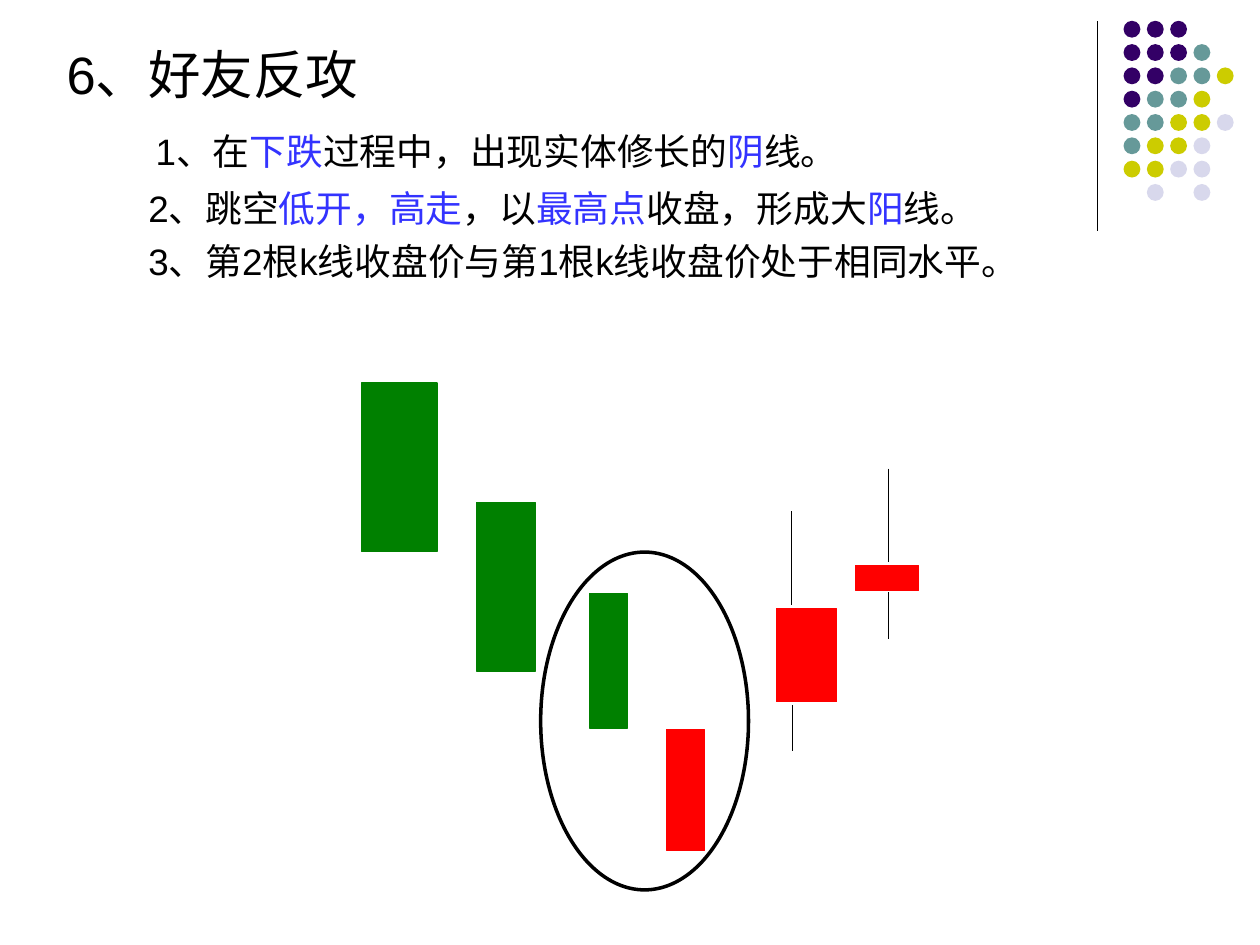
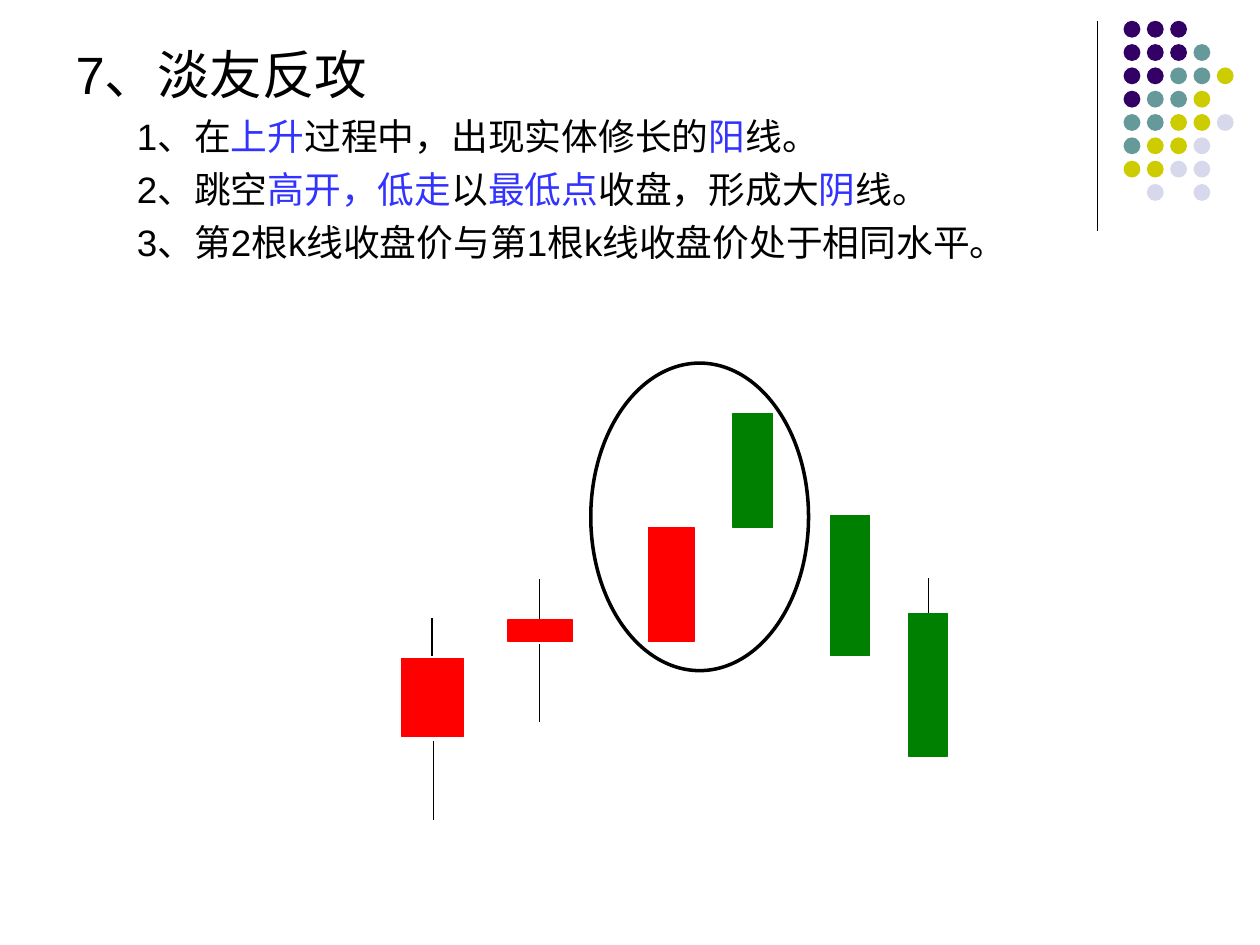
from lxml import etree
from pptx import Presentation
from pptx.dml.color import RGBColor
from pptx.enum.shapes import MSO_CONNECTOR, MSO_SHAPE
from pptx.enum.text import MSO_ANCHOR, MSO_AUTO_SIZE, PP_ALIGN
from pptx.oxml.ns import qn
from pptx.util import Cm, Pt

RECTANGLE, OVAL = MSO_SHAPE.RECTANGLE, MSO_SHAPE.OVAL
STRAIGHT = MSO_CONNECTOR.STRAIGHT
TOP, LEFT, NO_AUTOFIT = MSO_ANCHOR.TOP, PP_ALIGN.LEFT, MSO_AUTO_SIZE.NONE

COLORS = {
    "text": "000000", "highlight": "3333FF",
    "rise": "FF0000", "fall": "008000",
    "P": "330066", "T": "669999", "Y": "CCCC00", "L": "D8D8EC",
}
FONT = "Arial"

# Corner ornament: one letter per dot colour, one string per row
DOT_ROWS = ["PPP", "PPPT", "PPTTY", "PTTY", "TTYYL", "TYYL", "YYLL", " L L"]
DOT_LEFT, DOT_TOP, DOT_PITCH, DOT_SIZE = 22.65, 0.42, 0.47, 0.34
CORNER_RULE = (22.12, 0.43, 4.65)  # x, top, bottom

# Text between bars is highlighted; boxes are left, top, width, height in cm;
# wicks are x, top, bottom in cm
SLIDES = [
    {
        "title": "6、好友反攻", "title_left": 1.09,
        "points_at": (2.74, 2.47), "first_indent": 0.15, "second_gap": 7.5,
        "points": [
            "1、在|下跌|过程中，出现实体修长的|阴|线。",
            "2、跳空|低开，高走|，以|最高点|收盘，形成大|阳|线。",
            "3、第2根k线收盘价与第1根k线收盘价处于相同水平。",
        ],
        "candles": [
            ("fall", (7.29, 7.72, 1.52, 3.4)),
            ("fall", (9.6, 10.13, 1.19, 3.4)),
            ("fall", (11.89, 11.96, 0.76, 2.72)),
            ("rise", (13.44, 14.71, 0.76, 2.44)),
            ("rise", (15.65, 12.27, 1.22, 1.88)),
            ("rise", (17.25, 11.4, 1.27, 0.51)),
        ],
        "wicks": [(15.95, 10.31, 12.19), (15.98, 14.22, 15.14),
                  (17.91, 9.45, 11.33), (17.91, 11.94, 12.88)],
        "pattern_ring": (10.9, 11.13, 4.19, 6.81),
    },
    {
        "title": "7、淡友反攻", "title_left": 1.27,
        "points_at": (2.51, 2.17), "first_indent": 0, "second_gap": 5.2,
        "points": [
            "1、在|上升|过程中，出现实体修长的|阳|线。",
            "2、跳空|高开，低走|以|最低点|收盘，形成大|阴|线。",
            "3、第2根k线收盘价与第1根k线收盘价处于相同水平。",
        ],
        "candles": [
            ("rise", (8.1, 13.28, 1.24, 1.57)),
            ("rise", (10.24, 12.5, 1.3, 0.43)),
            ("rise", (13.08, 10.64, 0.91, 2.29)),
            ("fall", (14.78, 8.33, 0.79, 2.31)),
            ("fall", (16.74, 10.39, 0.79, 2.82)),
            ("fall", (18.31, 12.37, 0.79, 2.87)),
        ],
        "wicks": [(8.71, 12.45, 13.23), (8.74, 14.94, 16.54),
                  (10.87, 11.68, 12.47), (10.87, 12.98, 14.55),
                  (18.72, 11.66, 12.37)],
        "pattern_ring": (11.91, 7.32, 4.39, 6.2),
    },
]


def write_text(paragraph, text, size, space_before=0, indent=0):
    """Fill a paragraph, colouring the parts between bars."""
    paragraph.alignment = LEFT
    paragraph.space_before = Pt(space_before)
    paragraph._p.get_or_add_pPr().set("indent", str(Cm(indent)))
    for index, part in enumerate(text.split("|")):
        run = paragraph.add_run()
        run.text = part
        run.font.name = FONT
        run.font.size = Pt(size)
        color = COLORS["highlight" if index % 2 else "text"]
        run.font.color.rgb = RGBColor.from_string(color)


def draw_shape(slide, kind, box, fill=None, line=None, line_width=0.75):
    """Draw a preset shape with colours named in COLORS."""
    shape = slide.shapes.add_shape(kind, *[Cm(value) for value in box])
    shape.shadow.inherit = False
    for part, color in ((shape.fill, fill), (shape.line.fill, line)):
        if color:
            part.solid()
            part.fore_color.rgb = RGBColor.from_string(COLORS[color])
        else:
            part.background()
    if line:
        shape.line.width = Pt(line_width)


presentation = Presentation()
presentation.slide_width, presentation.slide_height = Cm(25.4), Cm(19.05)
title_only = presentation.slide_layouts[5]

for content in SLIDES:
    slide = presentation.slides.add_slide(title_only)

    # Corner dots
    for row, letters in enumerate(DOT_ROWS):
        for column, letter in enumerate(letters):
            if letter != " ":
                box = (DOT_LEFT + column * DOT_PITCH, DOT_TOP + row * DOT_PITCH,
                       DOT_SIZE, DOT_SIZE)
                draw_shape(slide, OVAL, box, fill=letter)

    # Title and numbered points
    title = slide.shapes.title
    title.left, title.top = Cm(content["title_left"]), Cm(0.71)
    title.width, title.height = Cm(20), Cm(1.5)
    left, top = content["points_at"]
    points = slide.shapes.add_textbox(Cm(left), Cm(top), Cm(21.2), Cm(3.6))
    for shape in (title, points):
        frame = shape.text_frame
        frame.word_wrap = True
        frame.auto_size = NO_AUTOFIT
        frame.vertical_anchor = TOP
    write_text(title.text_frame.paragraphs[0], content["title"], size=30)
    first, second, third = content["points"]
    frame = points.text_frame
    write_text(frame.paragraphs[0], first, size=21, indent=content["first_indent"])
    write_text(frame.add_paragraph(), second, size=21,
               space_before=content["second_gap"])
    write_text(frame.add_paragraph(), third, size=21, space_before=5.2)

    # Corner rule and candle wicks
    for x, top, bottom in [CORNER_RULE] + content["wicks"]:
        connector = slide.shapes.add_connector(
            STRAIGHT, Cm(x), Cm(top), Cm(x), Cm(bottom))
        connector.line.color.rgb = RGBColor.from_string(COLORS["text"])
        connector.line.width = Pt(0.75)
        etree.SubElement(connector._element.spPr, qn("a:effectLst"))

    # Candle bodies and the ring around the pattern
    for direction, box in content["candles"]:
        draw_shape(slide, RECTANGLE, box, fill=direction, line=direction)
    draw_shape(slide, OVAL, content["pattern_ring"], line="text", line_width=2)

presentation.save("out.pptx")
